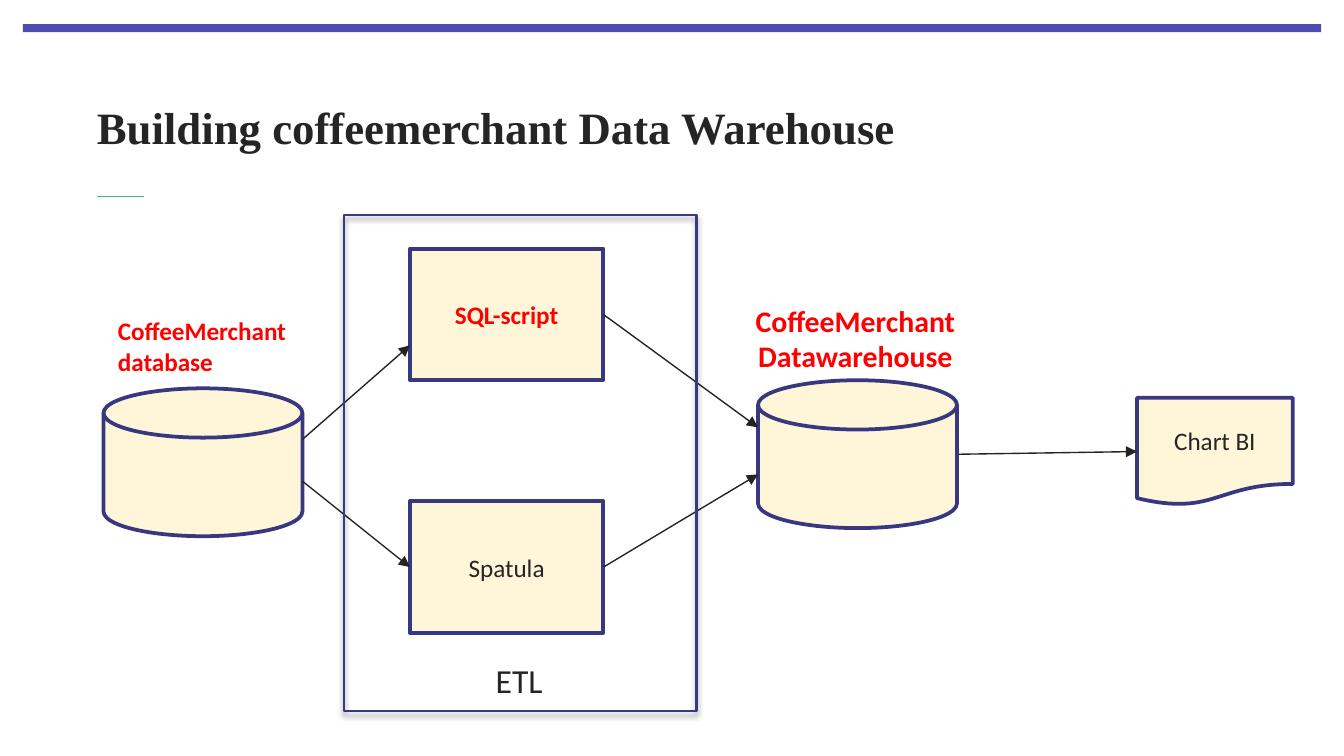
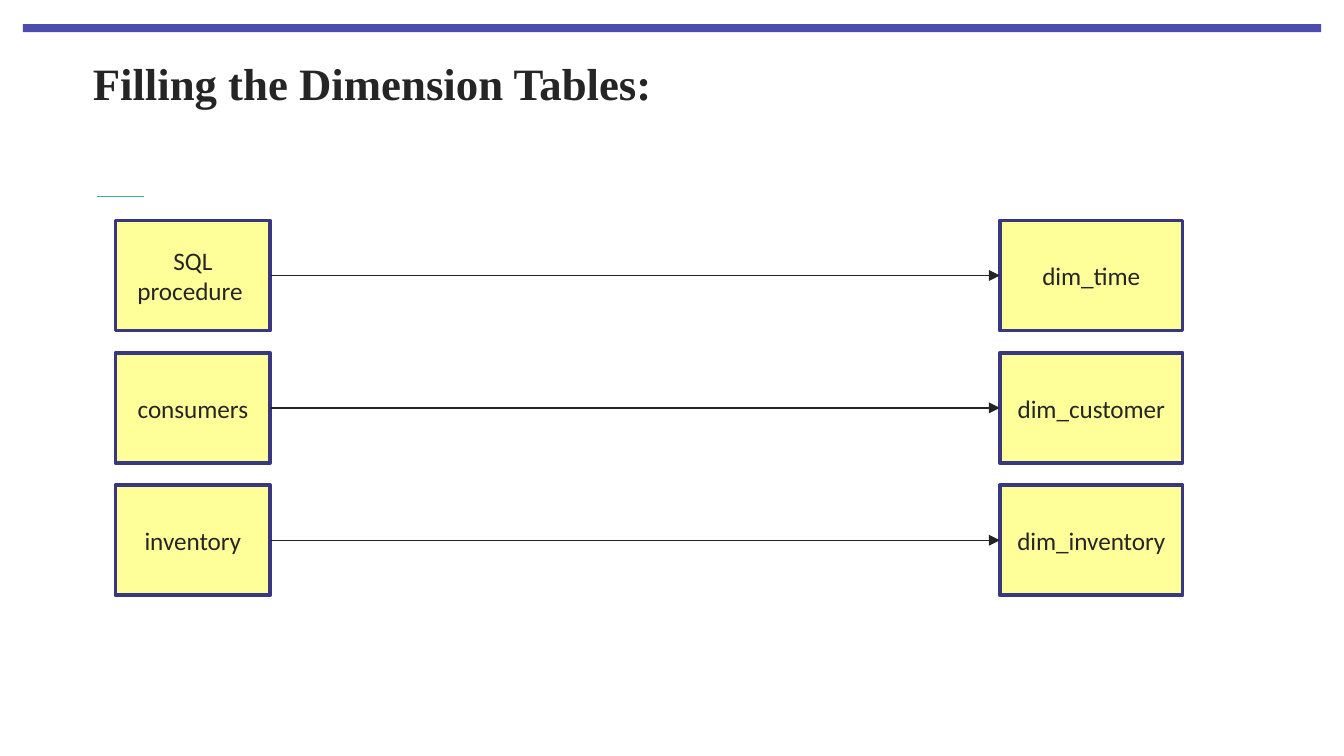
from dataclasses import dataclass
from typing import NamedTuple, Optional

from lxml import etree
from pptx import Presentation
from pptx import util as u
from pptx.dml import color
from pptx.enum import shapes, text
from pptx.oxml import ns

In = u.Inches
Shape = shapes.MSO_SHAPE
Align = text.PP_ALIGN


@dataclass(frozen=True)
class Theme:
    band: str = "4B4CAD"
    rule: str = "3BAFA2"
    ink: str = "252525"
    arrow: str = "242424"
    accent: str = "FF0000"
    outline: str = "373880"
    frame: str = "383982"
    cream: str = "FFF6D9"
    yellow: str = "FFFF99"
    title_font: str = "Times New Roman"
    body_font: str = "Calibri"
    title_size: float = 24
    body_size: float = 13.5
    store_size: float = 16
    group_size: float = 18
    node_line: float = 2
    frame_line: float = 1.5
    arrow_line: float = 0.75
    rule_line: float = 0.5


T = Theme()


class Box(NamedTuple):
    left: float
    top: float
    width: float
    height: float

    def emu(self):
        return [In(v) for v in self]


class Node(NamedTuple):
    box: Box
    label: str = ""
    kind: Shape = Shape.RECTANGLE
    strong: bool = False


class Label(NamedTuple):
    box: Box
    lines: tuple
    size: float
    strong: bool = True
    align: Optional[Align] = None
    wrap: bool = False


class Arrow(NamedTuple):
    x1: float
    y1: float
    x2: float
    y2: float


class Row(NamedTuple):
    source: str
    target: str


FLOW_NODES = (
    Node(Box(0.77, 2.89, 1.48, 1.1), kind=Shape.FLOWCHART_MAGNETIC_DISK),
    Node(Box(3.05, 1.85, 1.44, 0.98), "SQL-script", strong=True),
    Node(Box(3.05, 3.73, 1.44, 0.98), "Spatula"),
    Node(Box(5.64, 2.83, 1.48, 1.1), kind=Shape.FLOWCHART_MAGNETIC_DISK),
    Node(Box(8.46, 2.96, 1.16, 0.8), "Chart BI", Shape.FLOWCHART_DOCUMENT),
)
FLOW_LABELS = (
    Label(Box(0.78, 2.3, 1.47, 0.56), ("CoffeeMerchant", "database"), T.body_size),
    Label(Box(5.51, 2.2, 1.71, 0.64), ("CoffeeMerchant", "Datawarehouse"),
          T.store_size, align=Align.CENTER),
    Label(Box(3.59, 4.86, 0.56, 0.4), ("ETL",), T.group_size, strong=False, wrap=True),
)
FLOW_ARROWS = (
    Arrow(2.25, 3.27, 3.05, 2.57),
    Arrow(2.25, 3.58, 3.05, 4.22),
    Arrow(4.49, 2.34, 5.64, 3.18),
    Arrow(4.49, 4.22, 5.64, 3.53),
    Arrow(7.13, 3.38, 8.46, 3.36),
)
ETL_FRAME = Box(2.56, 1.6, 2.62, 3.69)

DIMENSION_ROWS = (
    Row("SQL procedure ", "dim_time"),
    Row("consumers", "dim_customer"),
    Row("inventory", "dim_inventory"),
)
ROW_TOP, ROW_LAST, ROW_HEIGHT = 1.64, 3.61, 0.82
SOURCE_LEFT, SOURCE_WIDTH = 0.86, 1.15
TARGET_LEFT, TARGET_WIDTH = 7.44, 1.36
RIGHT_SITE, LEFT_SITE = 3, 1


def rgb(value: str) -> color.RGBColor:
    return color.RGBColor.from_string(value)


def style_text(tf, size: float, ink: str, font: str = T.body_font,
               bold: bool = False, align: Optional[Align] = None) -> None:
    for p in tf.paragraphs:
        p.alignment = align
        for r in p.runs:
            r.font.name = font
            r.font.size = u.Pt(size)
            r.font.bold = bold
            r.font.color.rgb = rgb(ink)


def style_line(line, ink: str, width: float) -> None:
    line.color.rgb = rgb(ink)
    line.width = u.Pt(width)


def add_block(s, box: Box, kind: Shape = Shape.RECTANGLE, fill: Optional[str] = None,
              outline: Optional[str] = None, width: float = T.node_line):
    sp = s.shapes.add_shape(kind, *box.emu())
    sp.shadow.inherit = False
    if fill:
        sp.fill.solid()
        sp.fill.fore_color.rgb = rgb(fill)
    else:
        sp.fill.background()
    if outline:
        style_line(sp.line, outline, width)
    else:
        sp.line.fill.background()
    return sp


def add_node(s, node: Node, fill: str):
    sp = add_block(s, node.box, node.kind, fill, T.outline)
    if node.label:
        tf = sp.text_frame
        tf.text = node.label
        tf.word_wrap = True
        tf.vertical_anchor = text.MSO_ANCHOR.MIDDLE
        style_text(tf, T.body_size, T.accent if node.strong else T.ink,
                   bold=node.strong, align=Align.CENTER)
    return sp


def add_label(s, label: Label) -> None:
    tf = s.shapes.add_textbox(*label.box.emu()).text_frame
    tf.text = "\n".join(label.lines)
    tf.word_wrap = label.wrap
    tf.auto_size = text.MSO_AUTO_SIZE.SHAPE_TO_FIT_TEXT
    style_text(tf, label.size, T.accent if label.strong else T.ink,
               bold=label.strong, align=label.align)


def add_line(s, ends: Arrow, ink: str, width: float):
    c = s.shapes.add_connector(shapes.MSO_CONNECTOR.STRAIGHT, *[In(v) for v in ends])
    style_line(c.line, ink, width)
    etree.SubElement(c._element.spPr, ns.qn("a:effectLst"))
    return c


def add_arrow(s, ends: Arrow):
    c = add_line(s, ends, T.arrow, T.arrow_line)
    etree.SubElement(c.line._get_or_add_ln(), ns.qn("a:tailEnd"), type="triangle")
    return c


def add_frame(s, box: Box) -> None:
    sp = add_block(s, box, outline=T.frame, width=T.frame_line)
    effects = sp._element.spPr.find(ns.qn("a:effectLst"))
    shadow = etree.SubElement(effects, ns.qn("a:outerShdw"), blurRad=str(u.Pt(3.1)),
                              dist=str(u.Pt(1.8)), dir=str(90 * 60000), rotWithShape="0")
    ink = etree.SubElement(shadow, ns.qn("a:srgbClr"), val="000000")
    etree.SubElement(ink, ns.qn("a:alpha"), val="35000")


def add_titled_slide(prs, layout, title: str, box: Box):
    s = prs.slides.add_slide(layout)
    sp = s.shapes.title
    sp.left, sp.top, sp.width, sp.height = box.emu()
    tf = sp.text_frame
    tf.text = title
    tf.word_wrap = True
    tf.auto_size = text.MSO_AUTO_SIZE.NONE
    tf.vertical_anchor = text.MSO_ANCHOR.MIDDLE
    tf.margin_left = tf.margin_right = tf.margin_top = tf.margin_bottom = 0
    style_text(tf, T.title_size, T.ink, T.title_font, True, Align.LEFT)
    return s


def move_to_layout(layout, *items) -> None:
    for item in items:
        layout.shapes._spTree.append(item._element)


def build_warehouse_slide(prs, layout):
    s = add_titled_slide(prs, layout, "Building coffeemerchant Data Warehouse",
                         Box(0.72, 0.47, 8.71, 0.94))
    for node in FLOW_NODES:
        add_node(s, node, T.cream)
    for label in FLOW_LABELS:
        add_label(s, label)
    for ends in FLOW_ARROWS:
        add_arrow(s, ends)
    add_frame(s, ETL_FRAME)
    return s


def build_dimension_slide(prs, layout) -> None:
    s = add_titled_slide(prs, layout, "Filling the Dimension Tables:",
                         Box(0.69, 0.3, 8.62, 0.63))
    pitch = (ROW_LAST - ROW_TOP) / (len(DIMENSION_ROWS) - 1)
    for i, row in enumerate(DIMENSION_ROWS):
        top = ROW_TOP + i * pitch
        source = add_node(s, Node(Box(SOURCE_LEFT, top, SOURCE_WIDTH, ROW_HEIGHT),
                                  row.source), T.yellow)
        target = add_node(s, Node(Box(TARGET_LEFT, top, TARGET_WIDTH, ROW_HEIGHT),
                                  row.target), T.yellow)
        middle = top + ROW_HEIGHT / 2
        c = add_arrow(s, Arrow(SOURCE_LEFT + SOURCE_WIDTH, middle, TARGET_LEFT, middle))
        c.begin_connect(source, RIGHT_SITE)
        c.end_connect(target, LEFT_SITE)


def main() -> None:
    prs = Presentation()
    prs.slide_width = In(10)
    prs.slide_height = In(10 * 9 / 16)
    layout = prs.slide_layouts.get_by_name("Title Only")
    s = build_warehouse_slide(prs, layout)
    move_to_layout(
        layout,
        add_block(s, Box(0.17, 0.18, 9.66, 0.06), fill=T.band),
        add_line(s, Arrow(0.72, 1.46, 1.07, 1.46), T.rule, T.rule_line),
    )
    build_dimension_slide(prs, layout)
    prs.save("out.pptx")


if __name__ == "__main__":
    main()
